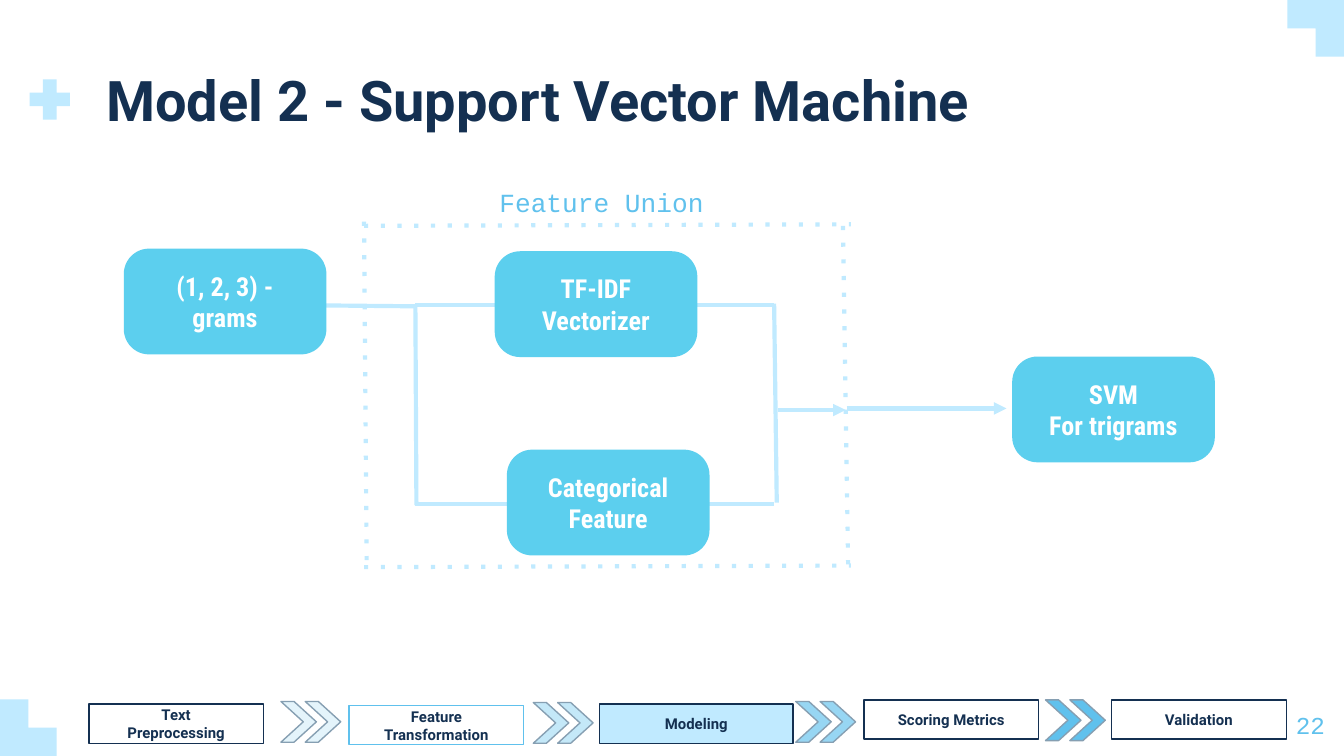
from dataclasses import dataclass

from pptx import Presentation
from pptx.dml.color import RGBColor
from pptx.enum.shapes import MSO_CONNECTOR, MSO_SHAPE
from pptx.enum.text import MSO_ANCHOR, MSO_AUTO_SIZE, PP_ALIGN
from pptx.oxml.ns import qn
from pptx.oxml.xmlchemy import OxmlElement
from pptx.util import Cm, Pt


@dataclass(frozen=True)
class Theme:
    navy: str = "143051"
    pale: str = "C0EAFF"
    sky: str = "60C1ED"
    cyan: str = "5CCFEE"
    slate: str = "869FB2"
    white: str = "FFFFFF"
    head: str = "Roboto"
    node: str = "Roboto Condensed"
    mono: str = "Courier New"
    title: float = 30
    body: float = 14
    page: float = 13
    stage: float = 8
    thin: float = 0.75
    thick: float = 2.25


@dataclass(frozen=True)
class Node:
    text: str
    left: float
    top: float


@dataclass(frozen=True)
class Stage:
    text: str
    left: float
    top: float
    width: float = 3.3
    line: str = Theme.navy
    fill: str = ""


@dataclass(frozen=True)
class Arrows:
    left: float
    top: float
    alpha: int


@dataclass(frozen=True)
class Link:
    start: tuple[float, float]
    end: tuple[float, float]
    dash: str = ""
    arrow: bool = False


LINKS = [
    Link((14.63, 5.77), (7.85, 5.77)),
    Link((14.63, 9.53), (7.85, 9.53)),
    Link((14.71, 7.75), (15.98, 7.75), arrow=True),
    Link((16, 7.72), (19.02, 7.72), arrow=True),
    Link((14.68, 9.5), (14.63, 5.74)),
    Link((7.87, 9.55), (7.85, 5.77)),
    Link((7.87, 5.79), (5.69, 5.77)),
    Link((6.88, 4.19), (6.93, 10.74), "dot"),
    Link((15.93, 4.27), (16.03, 10.74), "dot"),
    Link((6.88, 4.27), (16.08, 4.24), "dot"),
    Link((6.88, 10.72), (16.08, 10.69), "dot"),
]
NODES = [
    Node("TF-IDF Vectorizer", 9.35, 4.75),
    Node("Categorical Feature", 9.58, 8.5),
    Node("(1, 2, 3) - grams", 2.34, 4.7),
    Node("SVM\nFor trigrams", 19.13, 6.74),
]
STAGES = [
    Stage("Text\nPreprocessing", 1.68, 13.31),
    Stage("Feature\nTransformation", 6.6, 13.34, line=Theme.sky),
    Stage("Modeling", 11.33, 13.31, 3.66, fill=Theme.pale),
    Stage("Scoring Metrics", 16.33, 13.23),
    Stage("Validation", 21.01, 13.23),
]
ARROWS = [
    Arrows(5.31, 13.26, 17),
    Arrows(10.08, 13.28, 37),
    Arrows(15.04, 13.26, 65),
    Arrows(19.76, 13.23, 100),
]


def rgb(code: str) -> RGBColor:
    return RGBColor.from_string(code)


def write(shape, text: str, font: str, size: float, tint: str, bold=False,
          align=PP_ALIGN.CENTER, anchor=MSO_ANCHOR.MIDDLE, pad=(0.25, 0.25)) -> None:
    frame = shape.text_frame
    frame.word_wrap = True
    frame.auto_size = MSO_AUTO_SIZE.NONE
    frame.vertical_anchor = anchor
    frame.margin_left = frame.margin_right = Cm(pad[0])
    frame.margin_top = frame.margin_bottom = Cm(pad[1])
    frame.text = text
    for para in frame.paragraphs:
        para.alignment = align
        para.font.name = font
        para.font.size = Pt(size)
        para.font.bold = bold
        para.font.color.rgb = rgb(tint)


def draw(slide, kind, left: float, top: float, width: float, height: float,
         fill: str, line: str = "", ratio=()):
    shape = slide.shapes.add_shape(kind, Cm(left), Cm(top), Cm(width), Cm(height))
    shape.shadow.inherit = False
    for i, value in enumerate(ratio):
        shape.adjustments[i] = value
    if fill:
        shape.fill.solid()
        shape.fill.fore_color.rgb = rgb(fill)
    else:
        shape.fill.background()
    if line:
        shape.line.color.rgb = rgb(line)
        shape.line.width = Pt(Theme.thin)
    else:
        shape.line.fill.background()
    return shape


def label(slide, text: str, left: float, top: float, width: float, height: float,
          size: float, align) -> None:
    box = slide.shapes.add_textbox(Cm(left), Cm(top), Cm(width), Cm(height))
    write(box, text, Theme.mono, size, Theme.sky, align=align, anchor=MSO_ANCHOR.TOP)


def join(slide, link: Link) -> None:
    ends = [Cm(value) for value in link.start + link.end]
    line = slide.shapes.add_connector(MSO_CONNECTOR.STRAIGHT, *ends)
    line.line.color.rgb = rgb(Theme.pale)
    line.line.width = Pt(Theme.thick)
    stroke = line._element.spPr.find(qn("a:ln"))
    if link.dash:
        dash = OxmlElement("a:prstDash")
        dash.set("val", link.dash)
        stroke.append(dash)
    if link.arrow:
        tail = OxmlElement("a:tailEnd")
        tail.set("type", "triangle")
        stroke.append(tail)
    line._element.spPr.append(OxmlElement("a:effectLst"))


def point(slide, pair: Arrows) -> None:
    for i in range(2):
        shape = draw(slide, MSO_SHAPE.CHEVRON, pair.left + i * 0.46, pair.top,
                     0.67, 0.77, Theme.sky, Theme.slate, (0.63,))
        if pair.alpha < 100:
            alpha = OxmlElement("a:alpha")
            alpha.set("val", str(pair.alpha * 1000))
            shape._element.spPr.find(".//" + qn("a:srgbClr")).append(alpha)


def main() -> None:
    deck = Presentation()
    deck.slide_width, deck.slide_height = Cm(25.4), Cm(14.29)
    slide = deck.slides.add_slide(deck.slide_layouts[5])

    for left, top, turn in ((24.33, 0, 180), (0, 13.22, 0)):
        shape = draw(slide, MSO_SHAPE.CORNER, left, top, 1.07, 1.07,
                     Theme.pale, ratio=(0.5, 0.5))
        shape.rotation = turn
    draw(slide, MSO_SHAPE.CROSS, 0.56, 1.5, 0.76, 0.76, Theme.pale, ratio=(0.33,))

    title = slide.shapes.title
    title.left, title.top = Cm(2.01), Cm(1.24)
    title.width, title.height = Cm(21.41), Cm(1.27)
    write(title, "Model 2 - Support Vector Machine", Theme.head, Theme.title,
          Theme.navy, True, PP_ALIGN.LEFT, MSO_ANCHOR.TOP, (0, 0))

    for link in LINKS:
        join(slide, link)
    for node in NODES:
        shape = draw(slide, MSO_SHAPE.ROUNDED_RECTANGLE, node.left, node.top,
                     3.83, 2, Theme.cyan, ratio=(0.24,))
        write(shape, node.text, Theme.node, Theme.body, Theme.white, True)
    for pair in ARROWS:
        point(slide, pair)
    for stage in STAGES:
        shape = draw(slide, MSO_SHAPE.RECTANGLE, stage.left, stage.top,
                     stage.width, 0.74, stage.fill, stage.line)
        write(shape, stage.text, Theme.head, Theme.stage, Theme.navy, True, pad=(0, 0.25))

    label(slide, "Feature Union", 9.19, 3.28, 5.26, 1.12, Theme.body, PP_ALIGN.LEFT)
    label(slide, "22", 23.77, 13.18, 1.52, 1.09, Theme.page, PP_ALIGN.RIGHT)
    deck.save("out.pptx")


if __name__ == "__main__":
    main()
